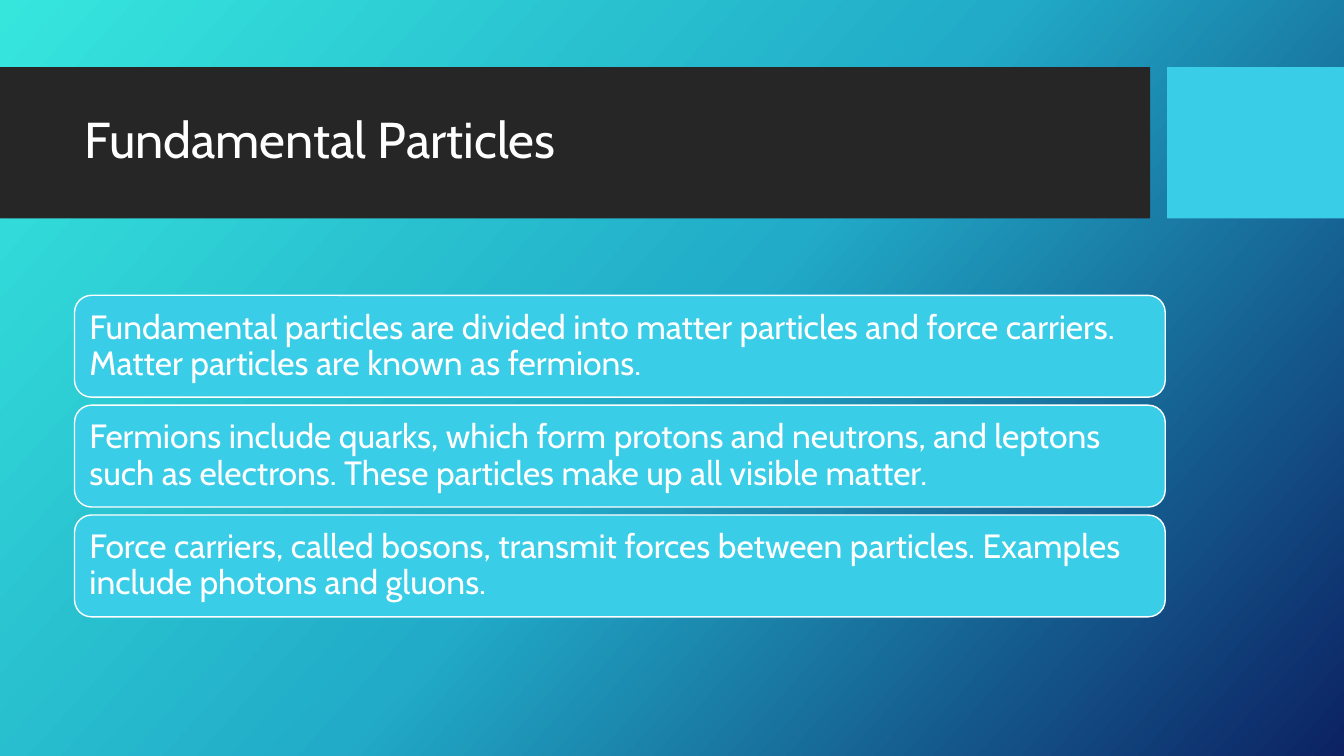
import copy
from dataclasses import dataclass
from typing import Optional

import pptx
import pptx.dml.color
import pptx.enum.shapes
import pptx.enum.text
import pptx.oxml.ns
import pptx.util

SLIDE_WIDTH = pptx.util.Inches(13.33)
SLIDE_HEIGHT = pptx.util.Inches(7.5)
WHITE, CHARCOAL, CYAN = "FFFFFF", "262626", "39CDE7"
BACKDROP = [(0, "36E6DD"), (0.5, "21ABC8"), (1, "0C2263")]
BACKDROP_ANGLE = 318  # counter-clockwise degrees

HEADING = "Fundamental Particles"
STATEMENTS = [
    "Fundamental particles are divided into matter particles and force carriers. "
    "Matter particles are known as fermions.",
    "Fermions include quarks, which form protons and neutrons, and leptons "
    "such as electrons. These particles make up all visible matter.",
    "Force carriers, called bosons, transmit forces between particles. "
    "Examples include photons and gluons.",
]


@dataclass(frozen=True)
class Area:
    """A rectangle in percent of the slide's width and height."""
    left: float
    top: float
    width: float
    height: float

    def lengths(self) -> tuple[int, int, int, int]:
        return (round(SLIDE_WIDTH * self.left / 100), round(SLIDE_HEIGHT * self.top / 100),
                round(SLIDE_WIDTH * self.width / 100), round(SLIDE_HEIGHT * self.height / 100))


@dataclass(frozen=True)
class Panel:
    area: Area
    fill: str
    outline: Optional[str] = None
    rounded: bool = False


MARGIN = 5.55
TITLE_AREA = Area(MARGIN, 10.93, 78.83, 15.73)
HEADER = [
    Panel(Area(0, 8.9, 85.58, 20), CHARCOAL),
    Panel(Area(86.85, 8.9, 13.15, 20), CYAN),
]
CARD_TOP, CARD_PITCH = 39.07, 14.53
CARD_WIDTH, CARD_HEIGHT = 81.15, 13.47


def rgb(code: str) -> pptx.dml.color.RGBColor:
    return pptx.dml.color.RGBColor.from_string(code)


def paint_backdrop(slide) -> None:
    fill = slide.background.fill
    fill.gradient()
    fill.gradient_angle = BACKDROP_ANGLE
    stops = next(slide.element.iter(pptx.oxml.ns.qn("a:gsLst")))
    while len(stops) < len(BACKDROP):
        stops.append(copy.deepcopy(stops[-1]))
    for stop, (position, code) in zip(fill.gradient_stops, BACKDROP):
        stop.position = position
        stop.color.rgb = rgb(code)


def draw_panel(slide, panel: Panel):
    presets = pptx.enum.shapes.MSO_SHAPE
    preset = presets.ROUNDED_RECTANGLE if panel.rounded else presets.RECTANGLE
    shape = slide.shapes.add_shape(preset, *panel.area.lengths())
    shape.shadow.inherit = False
    shape.fill.solid()
    shape.fill.fore_color.rgb = rgb(panel.fill)
    if panel.outline:
        shape.line.color.rgb = rgb(panel.outline)
        shape.line.width = pptx.util.Pt(1)
    else:
        shape.line.fill.background()
    return shape


def write(shape, wording: str, size: float) -> None:
    frame = shape.text_frame
    frame.text = wording
    inset = pptx.util.Inches(0.1)
    paragraph = frame.paragraphs[0]
    formats = {
        frame: {"word_wrap": True, "auto_size": pptx.enum.text.MSO_AUTO_SIZE.NONE,
                "vertical_anchor": pptx.enum.text.MSO_ANCHOR.MIDDLE,
                "margin_left": inset, "margin_right": inset},
        paragraph: {"alignment": pptx.enum.text.PP_ALIGN.LEFT, "line_spacing": 0.9},
        paragraph.font: {"name": "Cabin", "size": pptx.util.Pt(size)},
    }
    for target, values in formats.items():
        for attribute, value in values.items():
            setattr(target, attribute, value)
    paragraph.font.color.rgb = rgb(WHITE)


def main() -> None:
    deck = pptx.Presentation()
    deck.slide_width, deck.slide_height = SLIDE_WIDTH, SLIDE_HEIGHT
    slide = deck.slides.add_slide(deck.slide_layouts.get_by_name("Title Only"))
    paint_backdrop(slide)

    # Header band and accent block
    for panel in HEADER:
        draw_panel(slide, panel)

    # Title, brought in front of the band
    heading = slide.shapes.title
    heading.left, heading.top, heading.width, heading.height = TITLE_AREA.lengths()
    write(heading, HEADING, 36)
    slide.shapes.element.append(heading.element)

    # Stacked statement cards
    for row, statement in enumerate(STATEMENTS):
        area = Area(MARGIN, CARD_TOP + row * CARD_PITCH, CARD_WIDTH, CARD_HEIGHT)
        card = draw_panel(slide, Panel(area, CYAN, outline=WHITE, rounded=True))
        write(card, statement, 24)

    deck.save("out.pptx")


if __name__ == "__main__":
    main()
